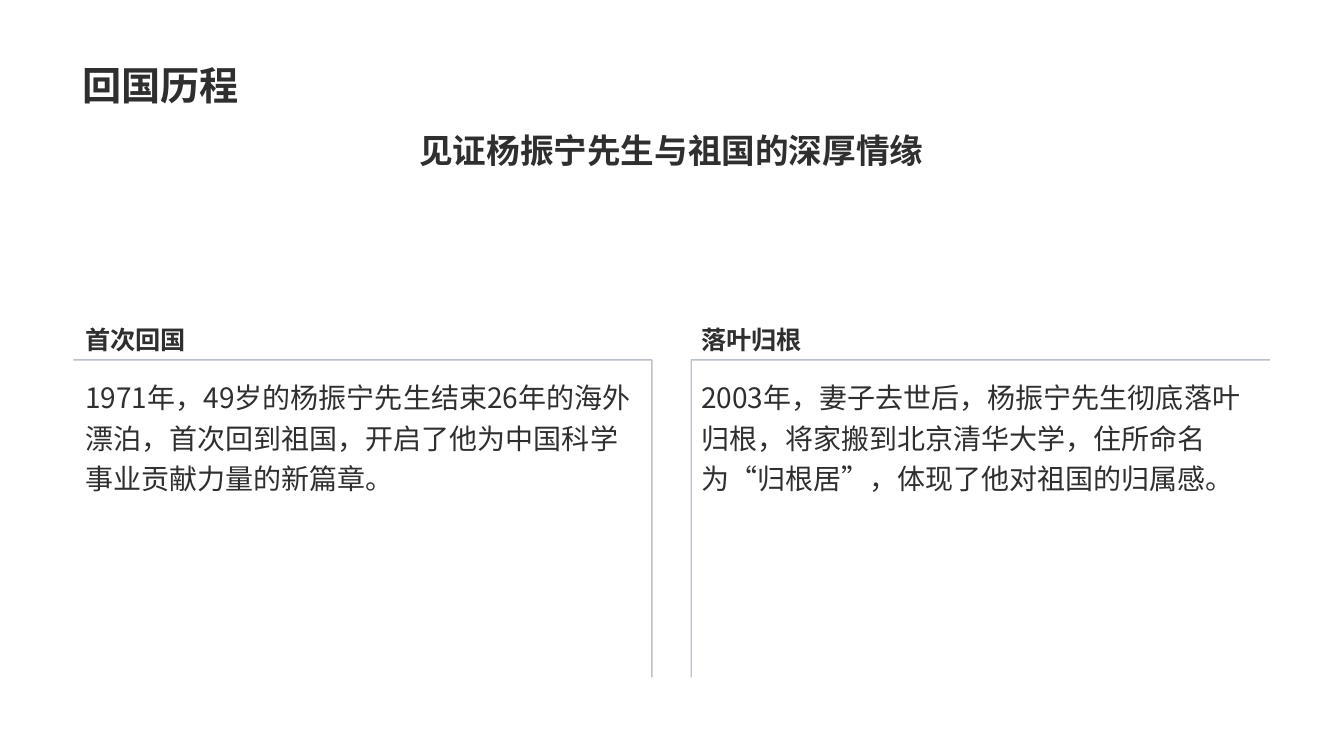
from lxml.etree import SubElement
from pptx import Presentation
from pptx.dml.color import RGBColor
from pptx.enum.text import MSO_ANCHOR, PP_ALIGN
from pptx.oxml.ns import qn
from pptx.util import Cm, Pt

INK = RGBColor(0x2F, 0x2F, 0x2F)
RULE = RGBColor(0x77, 0x84, 0x95)
HEADING_FONT = "Arial"
CHINESE_FONT = "Noto Sans CJK SC"

FRAME_TOP, FRAME_BOTTOM = 9.07, 17.07
TEXT_WIDTH = 14.53

# text left, frame outer edge, frame inner edge, heading, body
MILESTONES = [
    (1.9, 1.85, 16.43, "首次回国",
     "1971年，49岁的杨振宁先生结束26年的海外漂泊，首次回到祖国，开启了他为中国科学事业贡献力量的新篇章。"),
    (17.42, 32, 17.42, "落叶归根",
     "2003年，妻子去世后，杨振宁先生彻底落叶归根，将家搬到北京清华大学，住所命名为“归根居”，体现了他对祖国的归属感。"),
]


class SlideBuilder:
    def __init__(self, slide):
        self.slide = slide

    def text(self, left, top, width, height, words, size, font_name=HEADING_FONT,
             bold=True, anchor=MSO_ANCHOR.TOP, align=PP_ALIGN.LEFT, line_spacing=None):
        box = self.slide.shapes.add_textbox(Cm(left), Cm(top), Cm(width), Cm(height))
        frame = box.text_frame
        frame.word_wrap = True
        frame.vertical_anchor = anchor
        paragraph = frame.paragraphs[0]
        paragraph.text = words
        paragraph.alignment = align
        paragraph.line_spacing = line_spacing
        font = paragraph.font
        font.size, font.bold, font.name = Pt(size), bold, font_name
        font.color.rgb = INK
        SubElement(font._rPr, qn("a:ea"), typeface=CHINESE_FONT)

    def corner(self, outer, inner):
        """Draw an open frame: along the top to the inner edge, then down."""
        builder = self.slide.shapes.build_freeform(Cm(outer), Cm(FRAME_TOP))
        builder.add_line_segments(
            [(Cm(inner), Cm(FRAME_TOP)), (Cm(inner), Cm(FRAME_BOTTOM))], close=False)
        shape = builder.convert_to_shape()
        shape.shadow.inherit = False
        shape.fill.background()
        shape.line.width = Pt(1)
        shape.line.color.rgb = RULE
        color = shape.line.fill._xPr.find(qn("a:solidFill"))[0]
        SubElement(color, qn("a:alpha"), val="50000")

    def milestone(self, left, outer, inner, heading, body):
        self.corner(outer, inner)
        self.text(left, 7.16, TEXT_WIDTH, 1.91, heading, 18, anchor=MSO_ANCHOR.BOTTOM)
        self.text(left, 9.3, TEXT_WIDTH, 3.71, body, 20, font_name=CHINESE_FONT,
                  bold=False, line_spacing=1.2)


def main():
    presentation = Presentation()
    presentation.slide_width, presentation.slide_height = Cm(33.87), Cm(19.05)
    builder = SlideBuilder(presentation.slides.add_slide(presentation.slide_layouts[6]))
    builder.text(1.83, 0.36, 30.18, 2.49, "回国历程", 28, anchor=MSO_ANCHOR.BOTTOM)
    for milestone in MILESTONES:
        builder.milestone(*milestone)
    builder.text(1.83, 3.15, 30.18, 1.91, "见证杨振宁先生与祖国的深厚情缘", 24,
                 align=PP_ALIGN.CENTER)
    presentation.save("out.pptx")


if __name__ == "__main__":
    main()
